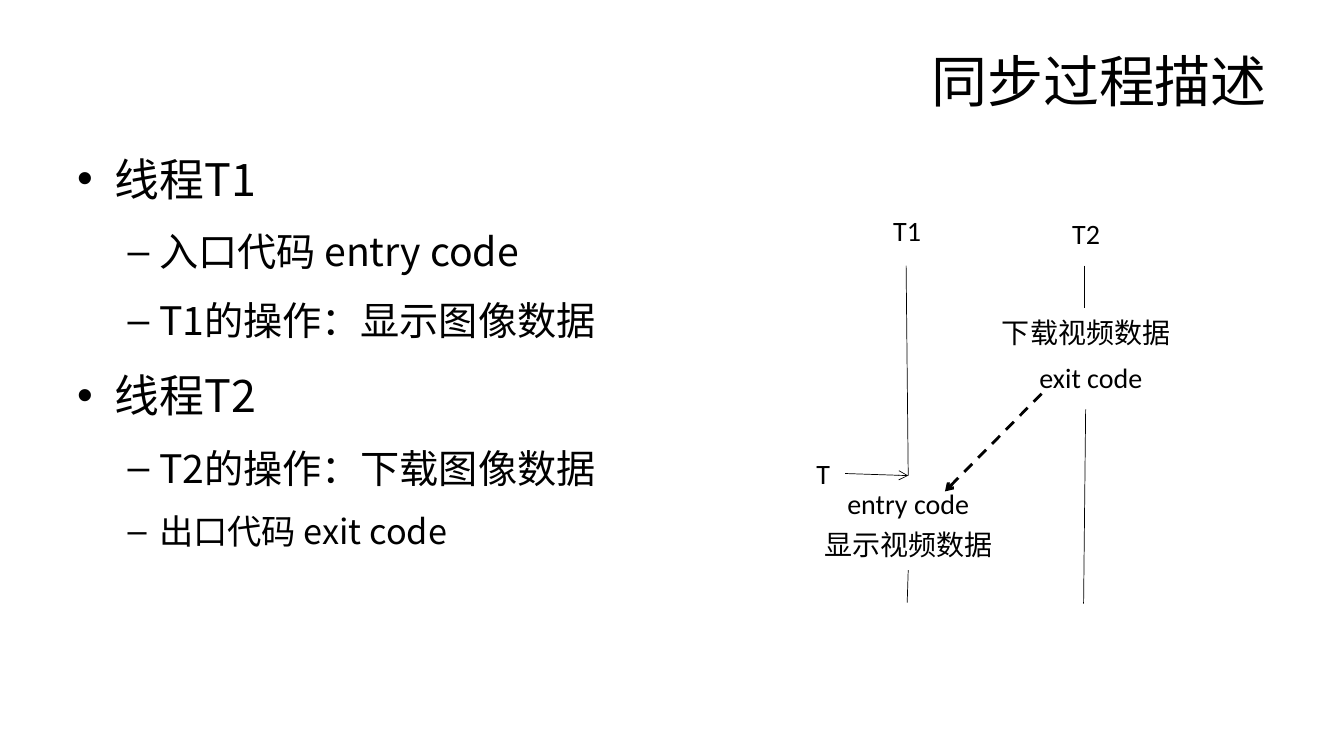
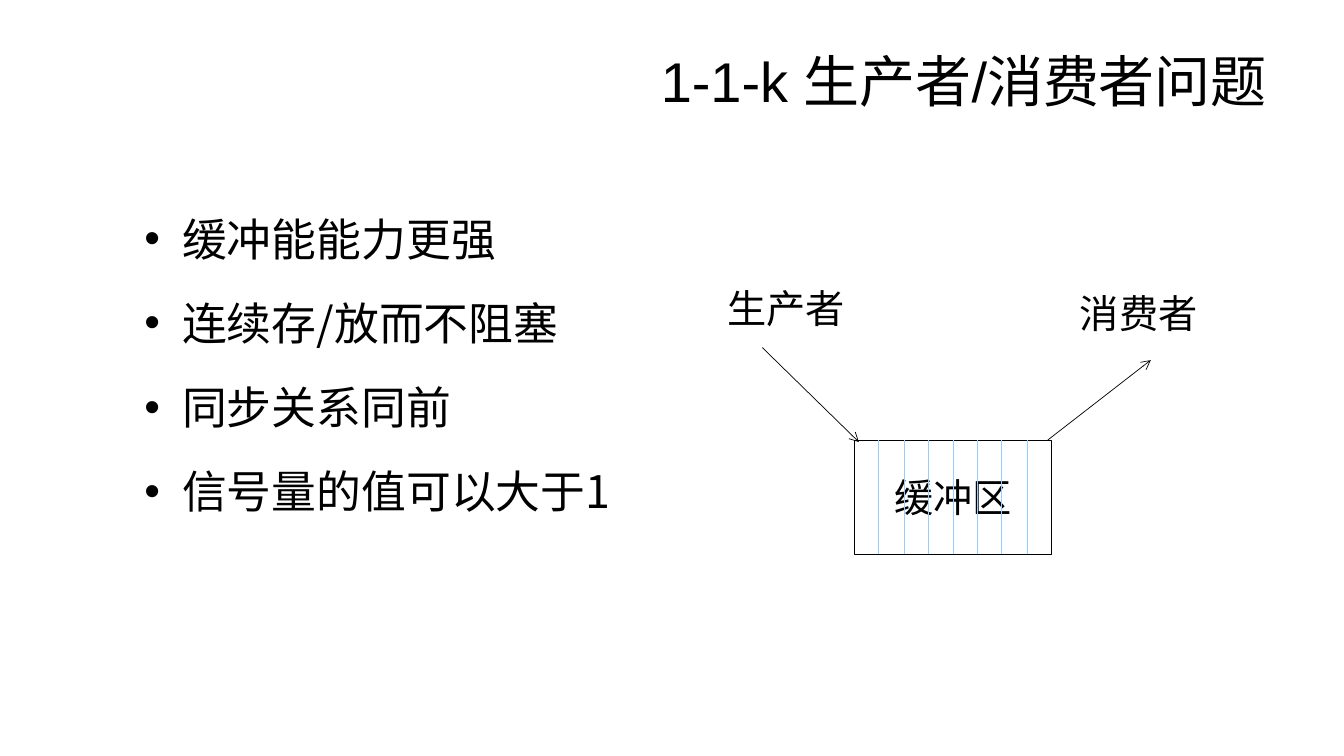
"""Two slides on thread synchronisation and the producer/consumer buffer."""
from lxml import etree
from pptx import Presentation
from pptx import util as u
from pptx.dml.color import RGBColor
from pptx.enum import dml, shapes, text
from pptx.oxml.ns import qn

PX = 9525
BLACK = RGBColor(0x00, 0x00, 0x00)
SKY = RGBColor(0x99, 0xCC, 0xFF)
HEAD_FONT = "Arial"
BODY_FONT = "Noto Sans CJK SC"
LABEL_FONT = "Calibri"
LEVELS = (("•", 36, 36), ("–", 78, 30))


def px(*lengths):
    """Turn pixel lengths into EMU."""
    return [u.Emu(length * PX) for length in lengths]


def add_run(paragraph, words, size, font):
    """Append one black run."""
    run = paragraph.add_run()
    run.text = words
    run.font.size = u.Pt(size)
    run.font.color.rgb = BLACK
    run.font.name = font
    east_asian = etree.SubElement(run.font._element, qn("a:ea"))
    east_asian.set("typeface", BODY_FONT)


def add_title(slide, words):
    """Add the right-aligned slide title."""
    frame = slide.shapes.add_textbox(*px(64, 29, 1152, 95)).text_frame
    frame.word_wrap = True
    frame.vertical_anchor = text.MSO_ANCHOR.MIDDLE
    frame.paragraphs[0].alignment = text.PP_ALIGN.RIGHT
    add_run(frame.paragraphs[0], words, 40, HEAD_FONT)


def set_bullet(paragraph, level):
    """Give a paragraph the bullet and hanging indent of its level."""
    mark, margin, hanging = LEVELS[level]
    properties = paragraph._p.get_or_add_pPr()
    properties.set("marL", str(margin * PX))
    properties.set("indent", str(-hanging * PX))
    etree.SubElement(properties, qn("a:buFont")).set("typeface", HEAD_FONT)
    etree.SubElement(properties, qn("a:buChar")).set("char", mark)


def add_bullets(slide, box, line_spacing, items):
    """Add a bulleted list of (level, size, runs) items."""
    frame = slide.shapes.add_textbox(*px(*box)).text_frame
    frame.word_wrap = True
    for index, (level, size, runs) in enumerate(items):
        paragraph = frame.add_paragraph() if index else frame.paragraphs[0]
        set_bullet(paragraph, level)
        paragraph.level = level
        paragraph.line_spacing = line_spacing
        paragraph.space_before = u.Pt(0.2 * size if index else 0)
        for words, font in runs:
            add_run(paragraph, words, size, font)


def write_label(shape, words, size):
    """Centre a label in a shape without insets."""
    frame = shape.text_frame
    frame.word_wrap = True
    frame.margin_left = frame.margin_right = 0
    frame.margin_top = frame.margin_bottom = 0
    frame.vertical_anchor = text.MSO_ANCHOR.MIDDLE
    frame.paragraphs[0].alignment = text.PP_ALIGN.CENTER
    add_run(frame.paragraphs[0], words, size, LABEL_FONT)


def add_label(slide, box, words, size=20):
    """Add a centred text label."""
    label = slide.shapes.add_textbox(*px(*box))
    write_label(label, words, size)
    return label


def add_line(slide, start, end, color=BLACK, width=0.5, arrow=False, dashed=False):
    """Add a straight line, optionally dashed or with an arrowhead."""
    line = slide.shapes.add_connector(
        shapes.MSO_CONNECTOR.STRAIGHT, *px(*start, *end))
    line.line.color.rgb = color
    line.line.width = u.Pt(width)
    if dashed:
        line.line.dash_style = dml.MSO_LINE.DASH
    if arrow:
        outline = line.line._get_or_add_ln()
        etree.SubElement(outline, qn("a:tailEnd")).set("type", "arrow")
    etree.SubElement(line._element.spPr, qn("a:effectLst"))
    return line


def add_buffer(slide, left, top, width, height, slots):
    """Add the buffer rectangle with evenly spaced slot dividers."""
    buffer = slide.shapes.add_shape(
        shapes.MSO_SHAPE.RECTANGLE, *px(left, top, width, height))
    buffer.shadow.inherit = False
    buffer.fill.background()
    buffer.line.color.rgb = BLACK
    buffer.line.width = u.Pt(0.5)
    write_label(buffer, "缓冲区", 28)
    for slot in range(1, slots):
        x = left + round(slot * width / slots)
        add_line(slide, (x, top), (x, top + height), SKY)


def build_sync_slide(slide):
    """Describe how thread T1 waits for thread T2."""
    add_title(slide, "同步过程描述")
    add_bullets(slide, (64, 124, 660, 519), 1.3, [
        (0, 32, [("线程T1", BODY_FONT)]),
        (1, 28, [("入口代码 entry code", BODY_FONT)]),
        (1, 28, [("T1的操作：", BODY_FONT), ("显示图像数据", LABEL_FONT)]),
        (0, 32, [("线程T2", BODY_FONT)]),
        (1, 28, [("T2的操作：", BODY_FONT), ("下载图像数据", LABEL_FONT)]),
        (1, 24.5, [("出口代码 exit code", BODY_FONT)]),
    ])
    add_label(slide, (823, 198, 82, 43), "T1")
    add_label(slide, (1004, 199, 61, 46), "T2")
    add_label(slide, (945, 287, 179, 59), "下载视频数据")
    add_label(slide, (969, 333, 140, 53), "exit code")
    entry = add_label(slide, (794, 453, 142, 53), "entry code")
    display = add_label(slide, (776, 493, 178, 50), "显示视频数据")
    moment = add_label(slide, (763, 429, 42, 44), "T")

    add_line(slide, (863, 253), (865, 453)).end_connect(entry, 0)
    add_line(slide, (865, 543), (864, 574)).begin_connect(display, 2)
    add_line(slide, (1033, 253), (1033, 293))
    add_line(slide, (1034, 390), (1032, 575))
    arrival = add_line(slide, (805, 451), (865, 453), arrow=True)
    arrival.begin_connect(moment, 3)
    arrival.end_connect(entry, 0)
    add_line(slide, (992, 375), (900, 468), width=2, arrow=True, dashed=True)


def build_buffer_slide(slide):
    """Show one producer and one consumer sharing a k-slot buffer."""
    add_title(slide, "1-1-k 生产者/消费者问题")
    points = ("缓冲能能力更强", "连续存/放而不阻塞", "同步关系同前", "信号量的值可以大于1")
    add_bullets(slide, (128, 176, 525, 431), 1.4,
                [(0, 32, [(point, BODY_FONT)]) for point in points])
    add_label(slide, (999, 244, 171, 108), "消费者", 28)
    add_label(slide, (660, 239, 178, 108), "生产者", 28)
    add_buffer(slide, 814, 419, 187, 109, 8)
    add_line(slide, (726, 331), (818, 421), arrow=True)
    add_line(slide, (998, 419), (1096, 343), arrow=True)


def main():
    """Build and save the presentation."""
    presentation = Presentation()
    presentation.slide_width, presentation.slide_height = px(1280, 720)
    blank = presentation.slide_layouts[6]
    for build in (build_sync_slide, build_buffer_slide):
        build(presentation.slides.add_slide(blank))
    presentation.save("out.pptx")


if __name__ == "__main__":
    main()
